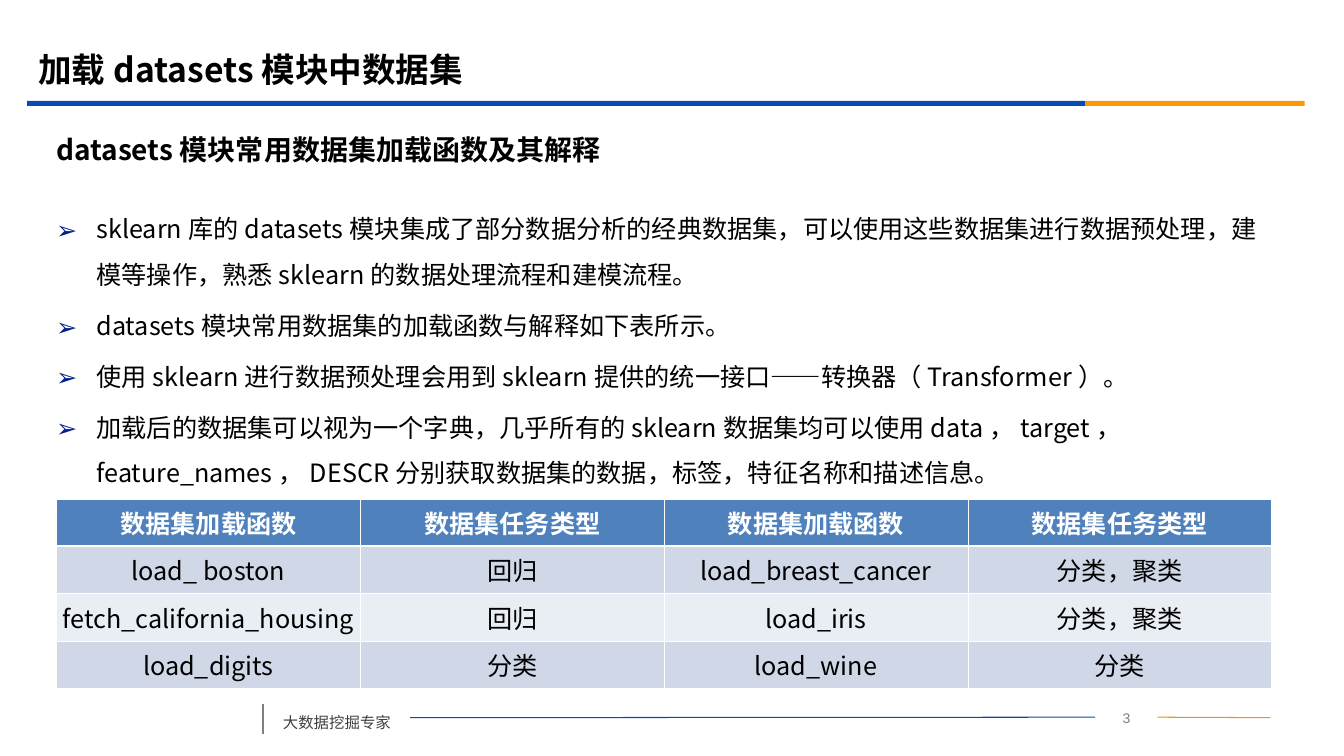
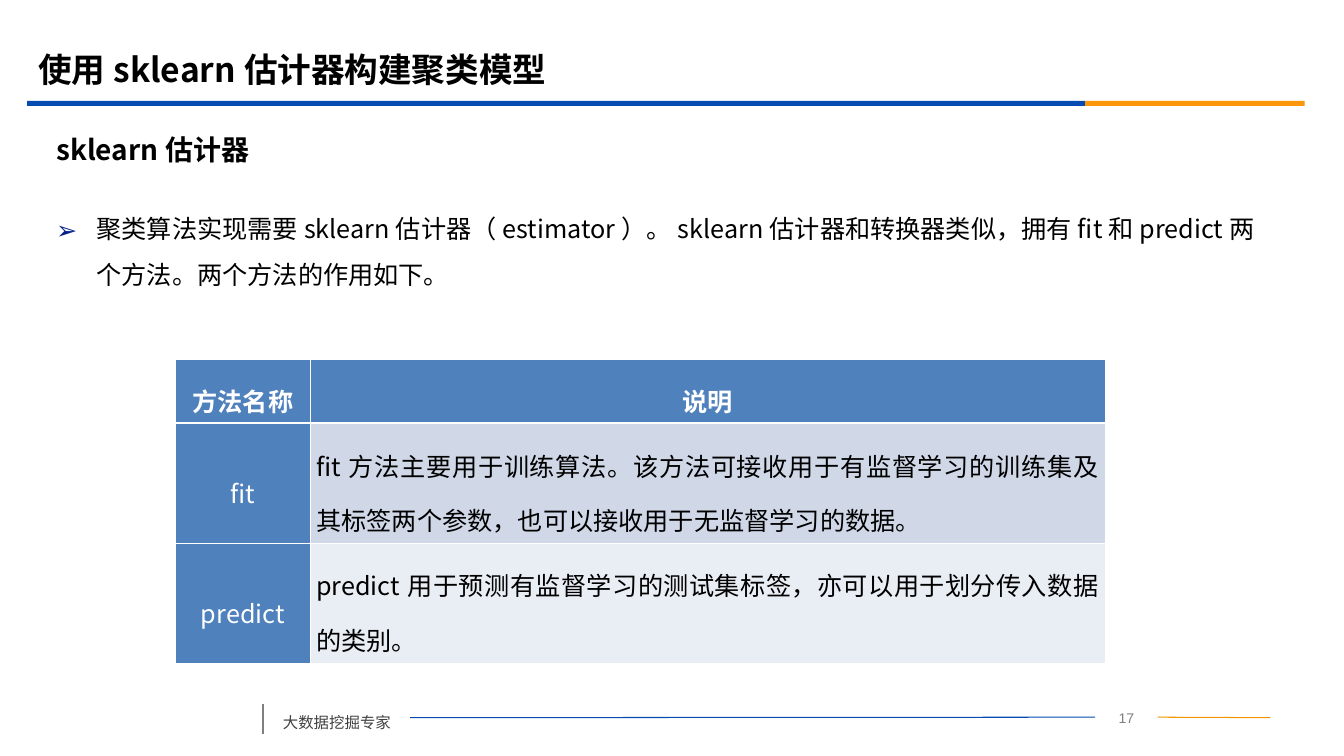
from lxml import etree
from pptx import Presentation
from pptx.dml.color import RGBColor
from pptx.enum.shapes import MSO_CONNECTOR, MSO_SHAPE
from pptx.enum.text import MSO_ANCHOR, MSO_AUTO_SIZE, PP_ALIGN
from pptx.oxml.ns import qn
from pptx.util import Emu, Pt

LINE, RECT = MSO_CONNECTOR.STRAIGHT, MSO_SHAPE.RECTANGLE
TOP, MIDDLE = MSO_ANCHOR.TOP, MSO_ANCHOR.MIDDLE
LEFT, CENTER, JUSTIFY = PP_ALIGN.LEFT, PP_ALIGN.CENTER, PP_ALIGN.JUSTIFY
FIXED = MSO_AUTO_SIZE.NONE

BLACK = RGBColor(0x00, 0x00, 0x00)
WHITE = RGBColor(0xFF, 0xFF, 0xFF)
BLUE = RGBColor(0x06, 0x4B, 0xB2)
ORANGE = RGBColor(0xFB, 0x97, 0x08)
AMBER = RGBColor(0xF1, 0x95, 0x00)
GRAY = RGBColor(0x7F, 0x7F, 0x7F)
DARK = RGBColor(0x40, 0x40, 0x40)
NAVY = RGBColor(0x03, 0x20, 0x89)
HEAD = RGBColor(0x4F, 0x81, 0xBD)
BANDS = RGBColor(0xD0, 0xD8, 0xE8), RGBColor(0xE9, 0xED, 0xF4)

FONT = "Noto Sans CJK SC"
SCALE = 9144  # EMU per px, 100 px to the inch
THIN, THICK = 0.45, 1.47


def px(*vals):
    return [Emu(v * SCALE) for v in vals]


def put(item, **vals):
    for name, val in vals.items():
        setattr(item, name, val)


def write(para, text, size, color=BLACK, bold=False, font=FONT, **form):
    put(para, **form)
    run = para.add_run()
    run.text = text
    run.font.color.rgb = color
    put(run.font, size=Pt(size), bold=bold, name=font)
    east = etree.SubElement(run.font._element, qn("a:ea"))
    east.set("typeface", font)


def add_text(slide, box, text, size, anchor=TOP, color=BLACK, bold=False,
             font=FONT, **form):
    shape = slide.shapes.add_textbox(*px(*box))
    frame = shape.text_frame
    put(frame, word_wrap=True, vertical_anchor=anchor)
    write(frame.paragraphs[0], text, size, color, bold, font, **form)
    return shape


def add_band(slide, box, color):
    band = slide.shapes.add_shape(RECT, *px(*box))
    band.shadow.inherit = False
    band.fill.solid()
    band.fill.fore_color.rgb = color
    band.line.fill.background()


def add_line(slide, ends, color, width):
    line = slide.shapes.add_connector(LINE, *px(*ends))
    line.line.color.rgb = color
    line.line.width = Pt(width)
    etree.SubElement(line._element.spPr, qn("a:effectLst"))
    return line


def add_page(deck, title, topic, number):
    """Add a slide with its title, bands, topic line and footer."""
    slide = deck.slides.add_slide(deck.slide_layouts[5])
    head = slide.shapes.title
    left, top, width, height = px(28, 40, 1200, 58)
    put(head, left=left, top=top, width=width, height=height)
    put(head.text_frame, word_wrap=True, vertical_anchor=MIDDLE,
        auto_size=FIXED)
    write(head.text_frame.paragraphs[0], title, 24, bold=True, alignment=LEFT)
    add_band(slide, (27, 100, 1050, 5), BLUE)
    add_band(slide, (1077, 100, 218, 5), ORANGE)
    add_text(slide, (46, 125, 1215, 47), topic, 20, MIDDLE, bold=True)

    label = add_text(slide, (271, 693, 136, 38), "大数据挖掘专家", 11,
                     color=DARK, line_spacing=1.5)
    page = add_text(slide, (1087, 699, 62, 25), number, 10, color=GRAY,
                    font="Arial", alignment=CENTER)
    add_line(slide, (261, 698, 261, 728), GRAY, 1.25)
    rule = add_line(slide, (407, 712, 1087, 712), BLUE, 0.75)
    rule.begin_connect(label, 3)
    rule.end_connect(page, 1)
    tail = add_line(slide, (1149, 712, 1261, 712), AMBER, 0.75)
    tail.begin_connect(page, 3)
    return slide


def add_list(slide, items):
    box = slide.shapes.add_textbox(*px(46, 192, 1215, 478))
    frame = box.text_frame
    frame.word_wrap = True
    indent, = px(40)
    for i, text in enumerate(items):
        para = frame.add_paragraph() if i else frame.paragraphs[0]
        props = para._p.get_or_add_pPr()
        props.set("marL", str(indent))
        props.set("indent", str(-indent))
        tint = etree.SubElement(props, qn("a:buClr"))
        etree.SubElement(tint, qn("a:srgbClr")).set("val", str(NAVY))
        etree.SubElement(props, qn("a:buFont")).set("typeface", FONT)
        etree.SubElement(props, qn("a:buChar")).set("char", "➢")
        if i:
            para.space_before = Pt(4)
        write(para, text, 18, line_spacing=1.5)


def add_edges(cell, row):
    """Draw white borders, thick between the header and the first row."""
    widths = {"lnL": THIN, "lnR": THIN,
              "lnT": THICK if row == 1 else THIN,
              "lnB": THICK if row == 0 else THIN}
    props = cell._tc.get_or_add_tcPr()
    for tag, width in widths.items():
        edge = etree.SubElement(props, qn("a:" + tag))
        edge.set("w", str(Pt(width)))
        fill = etree.SubElement(edge, qn("a:solidFill"))
        etree.SubElement(fill, qn("a:srgbClr")).set("val", str(WHITE))


def add_grid(slide, spot, cols, rows, data, inset, spacing=1.0, lead=False):
    """Add a table; with lead, its first column is coloured like the header
    and the other body cells are justified."""
    size = sum(cols), sum(rows)
    grid = slide.shapes.add_table(len(rows), len(cols),
                                  *px(*spot, *size)).table
    for col, width in zip(grid.columns, px(*cols)):
        col.width = width
    for row, height in zip(grid.rows, px(*rows)):
        row.height = height
    side, = px(inset)
    for r, texts in enumerate(data):
        for c, text in enumerate(texts):
            cell = grid.cell(r, c)
            dark = r == 0 or (lead and c == 0)
            put(cell, margin_left=side, margin_right=side,
                vertical_anchor=MIDDLE)
            add_edges(cell, r)
            cell.fill.solid()
            cell.fill.fore_color.rgb = HEAD if dark else BANDS[(r - 1) % 2]
            write(cell.text_frame.paragraphs[0], text, 18,
                  WHITE if dark else BLACK, r == 0, line_spacing=spacing,
                  alignment=JUSTIFY if lead and not dark else CENTER)


def main():
    deck = Presentation()
    deck.slide_width, deck.slide_height = px(1334, 750)

    slide = add_page(deck, "加载datasets模块中数据集",
                     "datasets模块常用数据集加载函数及其解释", "3")
    add_list(slide, [
        "sklearn库的datasets模块集成了部分数据分析的经典数据集，可以使用这些数据集"
        "进行数据预处理，建模等操作，熟悉sklearn的数据处理流程和建模流程。",
        "datasets模块常用数据集的加载函数与解释如下表所示。",
        "使用sklearn进行数据预处理会用到sklearn提供的统一接口——转换器（Transformer）。",
        "加载后的数据集可以视为一个字典，几乎所有的sklearn数据集均可以使用data，target，"
        "feature_names，DESCR分别获取数据集的数据，标签，特征名称和描述信息。",
    ])
    add_grid(slide, (56, 495), [302, 301, 302, 301], [47] * 4, [
        ["数据集加载函数", "数据集任务类型"] * 2,
        ["load_ boston", "回归", "load_breast_cancer", "分类，聚类"],
        ["fetch_california_housing", "回归", "load_iris", "分类，聚类"],
        ["load_digits", "分类", "load_wine", "分类"],
    ], 3)

    slide = add_page(deck, "使用sklearn估计器构建聚类模型", "sklearn估计器", "17")
    add_list(slide, [
        "聚类算法实现需要sklearn估计器（estimator）。sklearn估计器和转换器类似，"
        "拥有fit和predict两个方法。两个方法的作用如下。",
    ])
    add_grid(slide, (174, 356), [134, 789], [64, 119, 119], [
        ["方法名称", "说明"],
        ["fit", "fit方法主要用于训练算法。该方法可接收用于有监督学习的训练集及"
                "其标签两个参数，也可以接收用于无监督学习的数据。"],
        ["predict", "predict用于预测有监督学习的测试集标签，亦可以用于划分传入"
                    "数据的类别。"],
    ], 6, 1.5, lead=True)

    deck.save("out.pptx")


if __name__ == "__main__":
    main()
